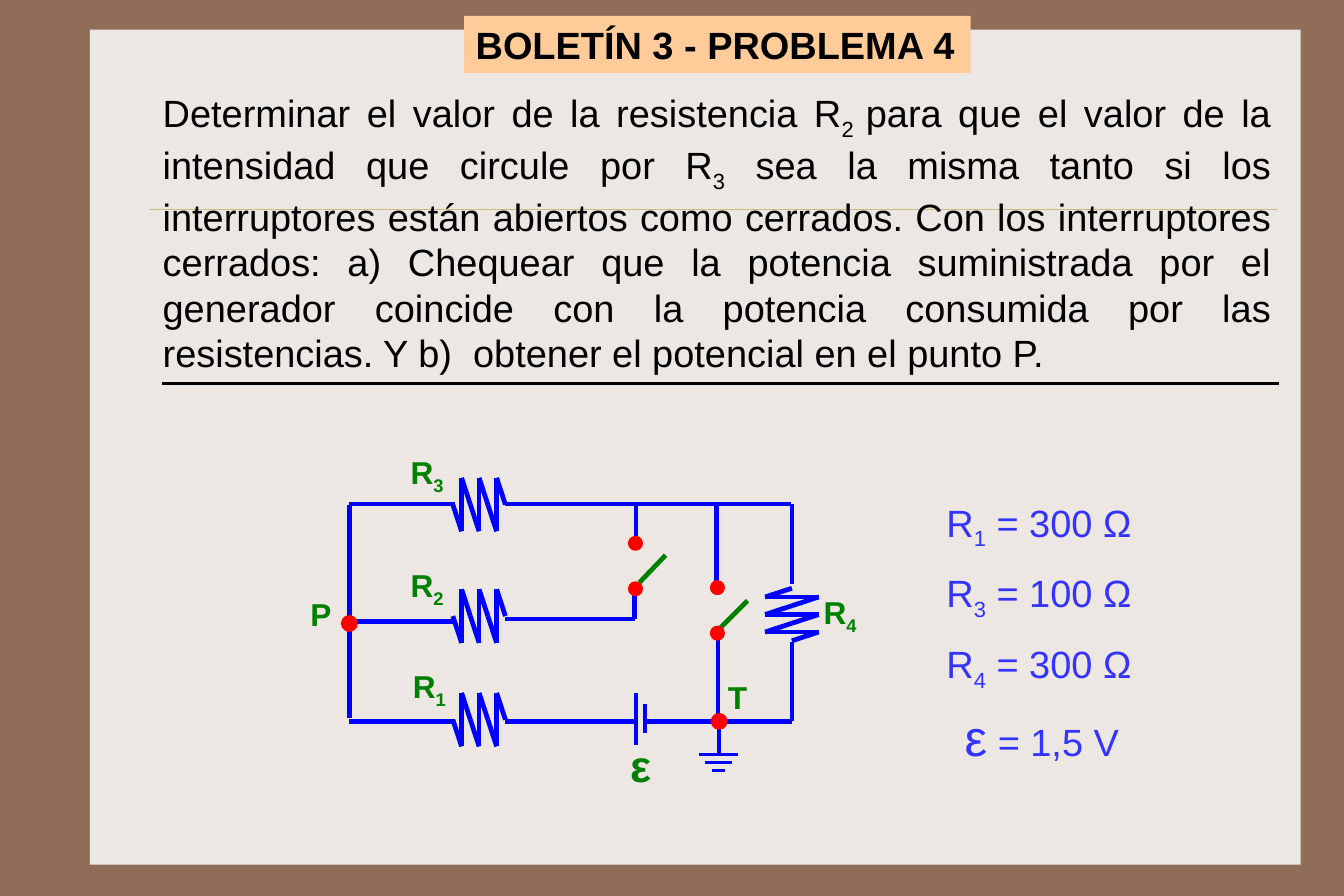
from dataclasses import dataclass
from typing import Any

from pptx import Presentation
from pptx.dml.color import RGBColor
from pptx.enum.shapes import MSO_CONNECTOR as Link, MSO_SHAPE as Form
from pptx.enum.text import MSO_ANCHOR as Anchor, MSO_AUTO_SIZE as Fit, PP_ALIGN as Align
from pptx.oxml.xmlchemy import OxmlElement as Node
from pptx.util import Emu, Inches, Pt

BROWN = RGBColor(0x90, 0x6D, 0x58)
CREAM = RGBColor(0xED, 0xE7, 0xE3)
SAND = RGBColor(0xCB, 0xBD, 0x83)
PEACH = RGBColor(0xFF, 0xCC, 0x99)
BLACK = RGBColor(0, 0, 0)
BLUE = RGBColor(0, 0, 0xFF)
VIOLET = RGBColor(0x33, 0x33, 0xFF)
GREEN = RGBColor(0, 0x80, 0)
RED = RGBColor(0xFF, 0, 0)

WIDE, HIGH = Pt(850.5), Pt(567)
COLS = 118.12
CELL = WIDE / COLS
FRAME = {"margin_left": Inches(0.1), "margin_right": Inches(0.1),
         "margin_top": Inches(0.09), "margin_bottom": Inches(0.09),
         "vertical_anchor": Anchor.TOP}
TITLE = "BOLETÍN 3 - PROBLEMA 4"
TASK = ("Determinar el valor de la resistencia R_2 _para que el valor de la intensidad que "
        "circule por R_3_ sea la misma tanto si los interruptores están abiertos como "
        "cerrados. Con los interruptores cerrados: a) Chequear que la potencia suministrada "
        "por el generador coincide con la potencia consumida por las resistencias. "
        "Y b)  obtener el potencial en el punto P.")


@dataclass(frozen=True)
class Wire:
    x1: float
    y1: float
    x2: float
    y2: float
    tint: RGBColor = BLUE
    width: float = 3


@dataclass(frozen=True)
class Coil:
    x: float
    y: float
    upright: bool = False


@dataclass(frozen=True)
class Dot:
    x: float
    y: float
    size: float
    width: float


@dataclass(frozen=True)
class Note:
    x: float
    y: float
    w: float
    h: float
    text: str
    size: int = 20
    tint: RGBColor = GREEN
    bold: bool = True
    tail: str = ""


RULES = [Wire(14.2, 33.7, 112.4, 33.7, BLACK, 2)]
WIRES = [
    Wire(44.4, 44.3, 69.5, 44.3), Wire(55.8, 54.4, 44.4, 54.4),
    Wire(30.7, 44.4, 30.7, 63.1), Wire(55.9, 44.3, 55.9, 47.4),
    Wire(55.8, 51.3, 55.8, 54.4), Wire(40, 44.3, 30.7, 44.3),
    Wire(39.9, 54.6, 30.6, 54.6), Wire(40, 63.4, 30.7, 63.4),
    Wire(55.9, 63.4, 44.4, 63.4), Wire(69.6, 63.4, 56.7, 63.4),
    Wire(69.6, 44.3, 69.6, 51.3), Wire(69.6, 56.4, 69.6, 63.4),
    Wire(63, 51.3, 63, 44.3), Wire(63.1, 56.2, 63.1, 63.2),
    Wire(63.2, 55.3, 65.7, 52.8, GREEN), Wire(56.2, 51.2, 58.5, 48.8, GREEN),
]
CELLS = [Wire(56.7, 61.9, 56.7, 64.4), Wire(55.9, 60.9, 55.9, 65.5)]
EARTH = [Wire(63.2, 63.6, 63.2, 66.3, width=2)] + [
    Wire(63.15 - half, y, 63.15 + half, y, width=2)
    for half, y in ((1.75, 66.3), (1.15, 67), (0.55, 67.7))]
COILS = [Coil(39.8, 44.35), Coil(39.8, 54.15), Coil(39.8, 63.25), Coil(69.6, 51.7, True)]
DOTS = [Dot(63.05, 51.65, 0.9, 3), Dot(55.85, 51.75, 0.9, 3), Dot(55.85, 47.75, 0.9, 3),
        Dot(63.05, 55.65, 0.9, 3), Dot(63.2, 63.4, 1.2, 2), Dot(30.7, 54.8, 1.2, 2)]
NOTES = [
    Note(54.4, 64, 4, 5.7, "ε", 28), Note(35.3, 57.7, 5, 5.1, "R_1"),
    Note(35.1, 48.8, 5, 5.1, "R_2"), Note(35.1, 38.9, 5, 5.1, "R_3"),
    Note(71.4, 51.2, 5, 5.1, "R_4"), Note(26.3, 51.4, 3.8, 5.1, "P"),
    Note(63, 58.7, 3.7, 5.1, "T"),
    Note(83.8, 61.1, 15.6, 7.2, "ε", 32, VIOLET, False, " = 1,5 V"),
] + [Note(82.2, 43 + 6.2 * row, 18.6, 5.9, text, 24, VIOLET, False)
     for row, text in enumerate(("R_1_ = 300 Ω", "R_3_ = 100 Ω", "R_4_ = 300 Ω"))]


def span(cells: float) -> Emu:
    """Turn grid cells into a length."""
    return Emu(round(cells * CELL))


def dress(item: Any, looks: dict[str, Any]) -> None:
    """Set each format value on an item."""
    for name, value in looks.items():
        setattr(item, name, value)


def box(x: float, y: float, w: float, h: float) -> dict[str, Emu]:
    """Give the place of a shape on the grid."""
    return dict(zip(("left", "top", "width", "height"), map(span, (x, y, w, h))))


def write(para: Any, text: str, size: int, tint: RGBColor, bold: bool) -> None:
    """Add runs, lowering every second part between underscores."""
    for rank, part in enumerate(text.split("_")):
        run = para.add_run()
        run.text = part
        dress(run.font, {"name": "Arial", "size": Pt(size), "bold": bold})
        run.font.color.rgb = tint
        if rank % 2:
            run.font._element.set("baseline", "-25000")


def draw(shapes: Any, wires: list[Wire]) -> None:
    """Draw straight wires."""
    for wire in wires:
        line = shapes.add_connector(Link.STRAIGHT, *map(span, (wire.x1, wire.y1, wire.x2, wire.y2)))
        line.line.color.rgb = wire.tint
        line.line.width = Pt(wire.width)
        line._element.spPr.append(Node("a:effectLst"))


def wind(coil: Coil) -> list[Wire]:
    """Work out the zigzag of a resistor."""
    step, reach = 0.77, 2.35
    spots = [(0.0, 0.0)]
    for turn in range(3):
        peak = (2 * turn + 1) * step
        spots += [(peak, reach), (peak, -reach), (peak + step, 0)]
    ends = [(coil.x - off, coil.y + run) if coil.upright else (coil.x + run, coil.y + off)
            for run, off in spots]
    return [Wire(*a, *b) for a, b in zip(ends, ends[1:])]


def plot(shapes: Any, dot: Dot) -> None:
    """Draw a red node."""
    half = dot.size / 2
    spot = shapes.add_shape(Form.OVAL, *box(dot.x - half, dot.y - half, dot.size, dot.size).values())
    spot.shadow.inherit = False
    spot.fill.solid()
    spot.fill.fore_color.rgb = spot.line.color.rgb = RED
    spot.line.width = Pt(dot.width)


def label(shapes: Any, note: Note) -> None:
    """Place a short text."""
    frame = shapes.add_textbox(*box(note.x, note.y, note.w, note.h).values()).text_frame
    dress(frame, FRAME | {"word_wrap": False, "auto_size": Fit.SHAPE_TO_FIT_TEXT})
    para = frame.paragraphs[0]
    write(para, note.text, note.size, note.tint, note.bold)
    if note.tail:
        write(para, note.tail, 24, note.tint, note.bold)


def fill(holder: Any, place: dict[str, Emu], text: str, looks: dict[str, Any],
         align: Align, bold: bool) -> None:
    """Move, format and fill a placeholder."""
    dress(holder, place)
    dress(holder.text_frame, FRAME | {"auto_size": Fit.NONE} | looks)
    para = holder.text_frame.paragraphs[0]
    dress(para, {"alignment": align, "space_before": Pt(0)})
    props = para._p.get_or_add_pPr()
    props.set("marL", "0")
    props.set("indent", "0")
    props.append(Node("a:buNone"))
    write(para, text, 24, BLACK, bold)


def main() -> None:
    """Build and save the slide."""
    deck = Presentation()
    deck.slide_width = WIDE
    deck.slide_height = HIGH
    slide = deck.slides.add_slide(deck.slide_layouts[1])
    slide.background.fill.solid()
    slide.background.fill.fore_color.rgb = BROWN
    shapes = slide.shapes
    title, body = slide.placeholders

    panel = shapes.add_shape(Form.RECTANGLE, *box(7.9, 2.6, 106.4, 73.4).values())
    panel.shadow.inherit = False
    panel.fill.solid()
    panel.fill.fore_color.rgb = CREAM
    panel.line.fill.background()
    draw(shapes, [Wire(13.1, 18.4, 112.2, 18.4, SAND, 0.25)])
    for holder in (body, title):
        shapes._spTree.append(holder._element)

    fill(body, box(13.3, 7, 99.4, 26.1), TASK, {"word_wrap": True}, Align.JUSTIFY, False)
    fill(title, box(40.8, 1.4, 44.5, 5), TITLE,
         {"word_wrap": False, "margin_top": Inches(0.05), "margin_bottom": Inches(0.05)},
         Align.LEFT, True)
    title.fill.solid()
    title.fill.fore_color.rgb = PEACH

    draw(shapes, RULES + WIRES)
    for wires in [CELLS, EARTH, *map(wind, COILS)]:
        draw(shapes.add_group_shape().shapes, wires)
    for dot in DOTS:
        plot(shapes, dot)
    for note in NOTES:
        label(shapes, note)
    deck.save("out.pptx")


if __name__ == "__main__":
    main()
